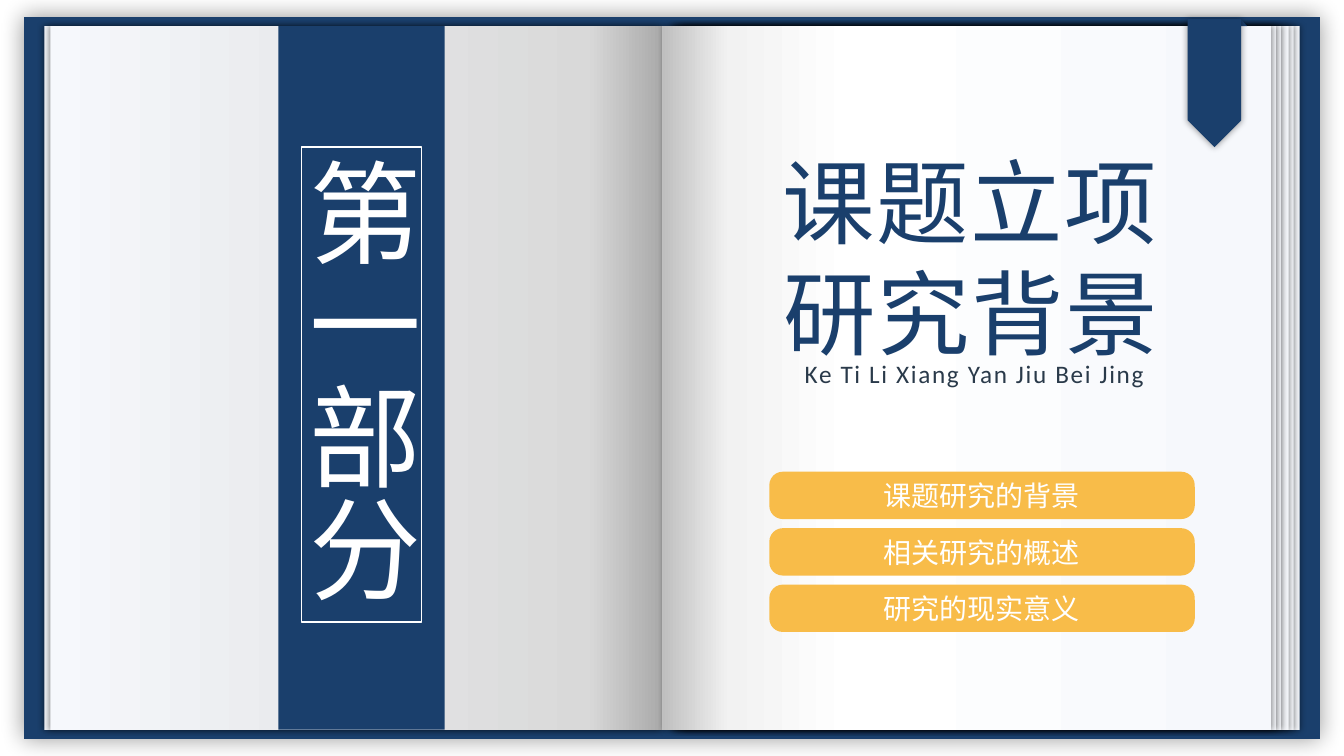
import pptx
import pptx.util
import pptx.dml.color
import pptx.enum.shapes
import pptx.enum.text
import pptx.oxml
import pptx.oxml.ns

Inches, Pt = pptx.util.Inches, pptx.util.Pt
KIND = pptx.enum.shapes.MSO_SHAPE
ALIGN = pptx.enum.text.PP_ALIGN
ANCHOR = pptx.enum.text.MSO_ANCHOR
qn = pptx.oxml.ns.qn

# Content
TITLE = "课题立项研究背景"
PINYIN = "Ke Ti Li Xiang Yan Jiu Bei Jing"
PART = "第一部分"
TOPICS = ["课题研究的背景", "相关研究的概述", "研究的现实意义"]

COLOR = {"navy": "1A3F6C", "gold": "F8BC49", "white": "FFFFFF", "slate": "2A3A4A"}
HAN, LATIN = "Noto Sans CJK SC", "Calibri"

# Page shades: (stop in percent, colour)
EDGE = [(0, "F6F8FC"), (87, "D9D9D9"), (100, "A6A6A6")]
SOFT = [(0, "F6F8FC"), (62, "FFFFFF"), (89, "F2F2F2"), (100, "D9D9D9")]
LEAF = [(0, "F6F8FC"), (69, "FFFFFF"), (89, "F2F2F2"), (100, "BFBFBF")]

# Pages from back to front: left, width, shade, on left side
PAGES = [
    (6.77, 6.12, EDGE, False), (6.71, 6.12, EDGE, False),
    (6.66, 6.12, SOFT, False), (6.67, 6.04, LEAF, False),
    (0.44, 6.12, EDGE, True), (0.5, 6.12, EDGE, True),
    (6.62, 6.04, LEAF, False), (6.57, 6.04, LEAF, False),
]
PAGE_TOP, PAGE_H = 0.26, 6.98
BAR_TOP, BAR_STEP = 4.68, 0.56

deck = pptx.Presentation()
deck.slide_width, deck.slide_height = Inches(13.33), Inches(7.5)
slide = deck.slides.add_slide(deck.slide_layouts[6])


def rgb(name):
    return pptx.dml.color.RGBColor.from_string(COLOR[name])


def add_xml(parent, tag, **attrs):
    node = pptx.oxml.parse_xml(f"<a:{tag} {pptx.oxml.ns.nsdecls('a')}/>")
    for key, value in attrs.items():
        node.set(key, str(value))
    parent.append(node)
    return node


def add_shape(kind, box, fill=None, turn=0, shadow=None):
    """Shadow is (blur, distance, direction)."""
    shape = slide.shapes.add_shape(kind, *map(Inches, box))
    shape.rotation = turn
    shape.line.fill.background()
    if fill:
        shape.fill.solid()
        shape.fill.fore_color.rgb = rgb(fill)
    else:
        shape.fill.background()
    shape.shadow.inherit = False
    if shadow:
        blur, dist, angle = shadow
        effects = shape._element.spPr.find(qn("a:effectLst"))
        outer = add_xml(effects, "outerShdw", blurRad=Pt(blur), dist=Pt(dist),
                        dir=angle * 60000, algn="ctr", rotWithShape=0)
        tint = add_xml(outer, "srgbClr", val="000000")
        add_xml(tint, "alpha", val=40000)
    return shape


def shade(shape, stops):
    shape.fill.gradient()
    shape.fill.gradient_angle = 0
    ramp = shape._element.spPr.find(qn("a:gradFill")).find(qn("a:gsLst"))
    for old in list(ramp):
        ramp.remove(old)
    for pos, tone in stops:
        add_xml(add_xml(ramp, "gs", pos=pos * 1000), "srgbClr", val=tone)


def add_text(text, box=None, shape=None, size=20, font=HAN, color="white",
             space=0, anchor=ANCHOR.TOP):
    shape = shape or slide.shapes.add_textbox(*map(Inches, box))
    frame = shape.text_frame
    frame.word_wrap = True
    frame.vertical_anchor = anchor
    para = frame.paragraphs[0]
    para.alignment = ALIGN.CENTER
    run = para.add_run()
    run.text = text
    run.font.size = Pt(size)
    run.font.name = font
    run.font.color.rgb = rgb(color)
    props = run.font._element
    add_xml(props, "ea", typeface=font)
    if space:
        props.set("spc", str(round(space * 100)))
    return shape


# Book cover and pages
add_shape(KIND.RECTANGLE, (0.24, 0.17, 12.85, 7.16), "navy", shadow=(16, 0, 0))
for left, width, stops, is_left in PAGES:
    page = add_shape(KIND.RECTANGLE, (left, PAGE_TOP, width, PAGE_H), turn=180,
                     shadow=(4, 1, 180 if is_left else 0))
    shade(page, stops)
    if is_left:
        page._element.spPr.find(qn("a:xfrm")).set("flipH", "1")

# Title
add_text(TITLE, (7.41, 1.39, 4.44, 2.32), size=66, color="navy", space=1.2)
add_text(PINYIN, (6.67, 3.51, 5.99, 0.4), size=18, font=LATIN, color="slate", space=1.2)

# Bookmark
add_shape(KIND.RIGHT_TRIANGLE, (12.31, 0.19, 0.06, 0.07), "navy")
add_shape(KIND.PENTAGON, (11.41, 0.56, 1.27, 0.53), "navy", turn=90, shadow=(5, 0, 0))

# Band with the part number
add_shape(KIND.RECTANGLE, (2.76, PAGE_TOP, 1.65, PAGE_H), "navy")
label = add_shape(KIND.RECTANGLE, (2.99, 1.46, 1.19, 4.71))
label.line.color.rgb = rgb("white")
label.line.width = Pt(1)
add_text(PART, shape=label, size=80, anchor=ANCHOR.MIDDLE)
label.text_frame._txBody.bodyPr.set("vert", "eaVert")

# Topic bars
for row, topic in enumerate(TOPICS):
    top = BAR_TOP + row * BAR_STEP
    bar = add_shape(KIND.ROUNDED_RECTANGLE, (7.63, top, 4.22, 0.47), "gold")
    bar.adjustments[0] = 0.285
    add_text(topic, (7.81, top + 0.02, 3.85, 0.44))

deck.save("out.pptx")
